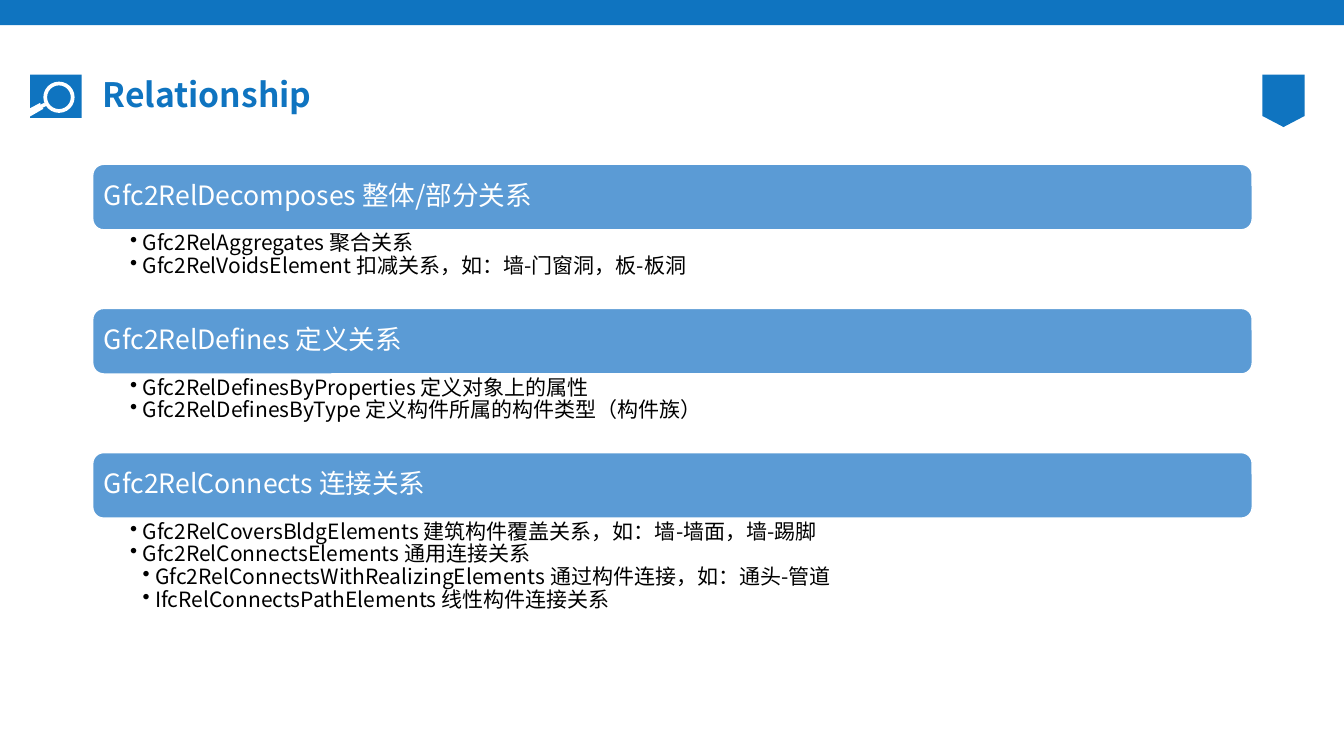
"""Build the Relationship slide: three headed groups of relation classes."""
from lxml.etree import SubElement
from pptx import Presentation
from pptx.dml.color import RGBColor
from pptx.enum.shapes import MSO_SHAPE as Shape
from pptx.enum.text import MSO_ANCHOR as Anchor, PP_ALIGN as Align
from pptx.oxml.ns import qn
from pptx.util import Inches, Pt

FONT = "Noto Sans CJK SC"
BLUE, BAR_BLUE, WHITE, BLACK = "0F74C0", "5B9BD5", "FFFFFF", "000000"


def paint(shape, color):
    shape.shadow.inherit = False
    shape.fill.solid()
    shape.fill.fore_color.rgb = RGBColor.from_string(color)
    shape.line.fill.background()


def format_text(paragraph, size, color, bold=False):
    paragraph.alignment = Align.LEFT
    paragraph.line_spacing = 0.9
    for run in paragraph.runs:
        run.font.size = Pt(size)
        run.font.bold = bold
        run.font.name = FONT
        run.font.color.rgb = RGBColor.from_string(color)
        SubElement(run.font._element, qn("a:ea"), typeface=FONT)


presentation = Presentation()
presentation.slide_width = Inches(13.33)
presentation.slide_height = Inches(7.5)
slide = presentation.slides.add_slide(presentation.slide_layouts[6])
shapes = slide.shapes

decorations = [
    (Shape.RECTANGLE, 0, 0, 13.33, 0.25, BLUE),
    (Shape.RECTANGLE, 0.3, 0.74, 0.51, 0.43, BLUE),
    (Shape.DONUT, 0.43, 0.81, 0.31, 0.31, WHITE),
]
for kind, left, top, width, height, color in decorations:
    shape = shapes.add_shape(kind, Inches(left), Inches(top), Inches(width), Inches(height))
    paint(shape, color)
    if kind == Shape.DONUT:
        shape.adjustments[0] = 0.12

outlines = [
    ([(0.46, 1.05), (0.44, 1.02), (0.4, 1.04), (0.4, 1.02), (0.25, 1.1), (0.24, 1.15),
      (0.29, 1.16), (0.43, 1.08), (0.42, 1.07)], WHITE),
    ([(12.94, 1.15), (12.73, 1.26), (12.52, 1.15), (12.52, 0.74), (12.94, 0.74)], BLUE),
]
for points, color in outlines:
    corners = [(Inches(x), Inches(y)) for x, y in points]
    builder = shapes.build_freeform(*corners[0])
    builder.add_line_segments(corners[1:], close=True)
    paint(builder.convert_to_shape(), color)

title = shapes.add_textbox(Inches(0.92), Inches(0.74), Inches(11.5), Inches(0.43))
title.text_frame.word_wrap = True
title.text_frame.vertical_anchor = Anchor.MIDDLE
title.text_frame.text = "Relationship"
format_text(title.text_frame.paragraphs[0], 24, BLUE, bold=True)

groups = [
    ("Gfc2RelDecomposes 整体/部分关系", 0.77, [
        (1, "Gfc2RelAggregates 聚合关系"),
        (1, "Gfc2RelVoidsElement 扣减关系，如：墙-门窗洞，板-板洞"),
    ]),
    ("Gfc2RelDefines 定义关系", 0.77, [
        (1, "Gfc2RelDefinesByProperties 定义对象上的属性"),
        (1, "Gfc2RelDefinesByType 定义构件所属的构件类型（构件族）"),
    ]),
    ("Gfc2RelConnects 连接关系", 1.59, [
        (1, "Gfc2RelCoversBldgElements 建筑构件覆盖关系，如：墙-墙面，墙-踢脚"),
        (1, "Gfc2RelConnectsElements 通用连接关系"),
        (2, "Gfc2RelConnectsWithRealizingElements 通过构件连接，如：通头-管道"),
        (2, "IfcRelConnectsPathElements 线性构件连接关系"),
    ]),
]
for index, (heading, list_height, items) in enumerate(groups):
    top = 1.63 + 1.43 * index
    bar = shapes.add_shape(Shape.ROUNDED_RECTANGLE, Inches(0.92), Inches(top), Inches(11.5), Inches(0.65))
    paint(bar, BAR_BLUE)
    bar.line.color.rgb = RGBColor.from_string(WHITE)
    bar.line.width = Pt(1)
    frame = bar.text_frame
    frame.word_wrap = True
    frame.vertical_anchor = Anchor.MIDDLE
    frame.margin_left = frame.margin_right = Inches(0.08)
    frame.text = heading
    format_text(frame.paragraphs[0], 19, WHITE)

    box = shapes.add_textbox(Inches(0.92), Inches(top + 0.65), Inches(11.5), Inches(list_height))
    frame = box.text_frame
    frame.word_wrap = True
    frame.margin_left, frame.margin_right = Inches(0.37), Inches(0.15)
    frame.margin_top = frame.margin_bottom = Inches(0.03)
    frame.text = "\n".join(text for level, text in items)
    for paragraph, (level, text) in zip(frame.paragraphs, items):
        paragraph.level = level
        properties = paragraph._p.get_or_add_pPr()
        properties.set("marL", str(Inches(0.125 * level)))
        properties.set("indent", str(-Inches(0.125)))
        SubElement(properties, qn("a:buChar"), char="•")
        format_text(paragraph, 15, BLACK)

presentation.save("out.pptx")
